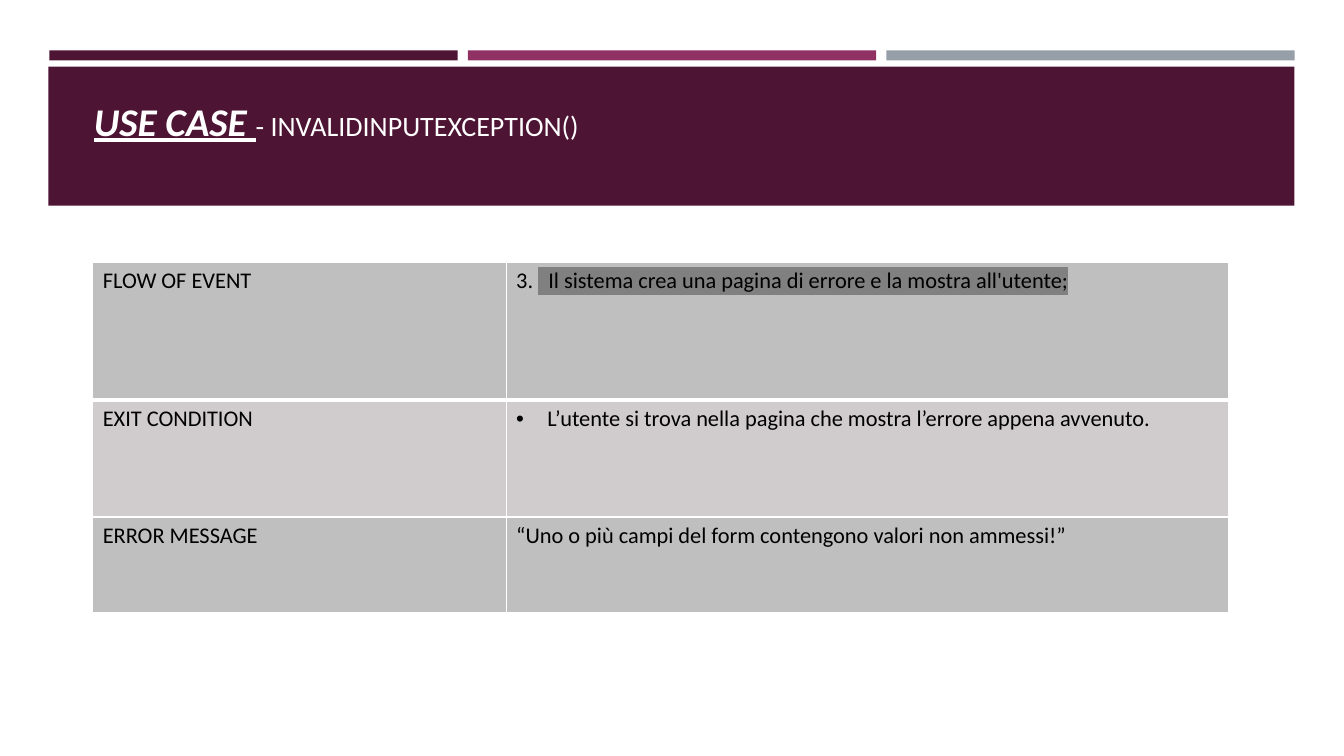
from lxml import etree
from pptx import Presentation
from pptx.dml.color import RGBColor
from pptx.enum.shapes import MSO_SHAPE
from pptx.enum.text import MSO_ANCHOR, MSO_AUTO_SIZE, PP_ALIGN
from pptx.oxml.ns import qn
from pptx.util import Inches, Pt

RECT = MSO_SHAPE.RECTANGLE
TOP = MSO_ANCHOR.TOP
NO_FIT = MSO_AUTO_SIZE.NONE
LEFT = PP_ALIGN.LEFT

COLORS = {
    "plum": "4D1434", "magenta": "903163", "slate": "969FA7",
    "white": "FFFFFF", "black": "000000",
    "dark_row": "BFBFBF", "light_row": "D0CCCE", "highlight": "808080",
}
STRIPES = ["plum", "magenta", "slate"]
TITLE_RUNS = [
    ("USE CASE ", {"size": Pt(28), "bold": True, "italic": True, "underline": True}),
    ("- INVALIDINPUTEXCEPTION()",
     {"size": Pt(20), "bold": False, "italic": False, "underline": False}),
]
COL_WIDTHS = [4.1, 7.17]
ROWS = [
    {"height": 1.37, "fill": "dark_row", "label": "FLOW OF EVENT",
     "runs": [("3. ", None),
              ("  Il sistema crea una pagina di errore e la mostra all'utente;",
               "highlight")]},
    {"height": 1.16, "fill": "light_row", "label": "EXIT CONDITION", "bullet": True,
     "runs": [("L’utente si trova nella pagina che mostra l’errore appena avvenuto.",
               None)]},
    {"height": 0.95, "fill": "dark_row", "label": "ERROR MESSAGE",
     "runs": [("“Uno o più campi del form contengono valori non ammessi!”", None)]},
]


def rgb(name):
    return RGBColor.from_string(COLORS[name])


def add_color(parent, name):
    etree.SubElement(parent, qn("a:srgbClr"), val=COLORS[name])


def add_bar(s, x, y, w, h, color):
    bar = s.shapes.add_shape(RECT, Inches(x), Inches(y), Inches(w), Inches(h))
    bar.shadow.inherit = False
    bar.fill.solid()
    bar.fill.fore_color.rgb = rgb(color)
    bar.line.fill.background()


def add_run(p, text, color, formats):
    r = p.add_run()
    r.text = text
    r.font.name = "Calibri"
    r.font.color.rgb = rgb(color)
    for name, value in formats.items():
        setattr(r.font, name, value)
    return r


def highlight(r, color):
    mark = etree.Element(qn("a:highlight"))
    add_color(mark, color)
    r.font._element.find(qn("a:solidFill")).addnext(mark)


def set_bullet(p):
    pPr = p._p.get_or_add_pPr()
    pPr.set("marL", str(Inches(0.31)))
    pPr.set("indent", str(Inches(-0.31)))
    etree.SubElement(pPr, qn("a:buFont"), typeface="Arial")
    etree.SubElement(pPr, qn("a:buChar"), char="•")


def set_borders(cell, widths):
    tcPr = cell._tc.get_or_add_tcPr()
    for i, (side, width) in enumerate(widths.items()):
        ln = etree.Element(qn(f"a:ln{side}"), w=str(Pt(width)))
        add_color(etree.SubElement(ln, qn("a:solidFill")), "white")
        tcPr.insert(i, ln)


def add_header(s):
    for i, color in enumerate(STRIPES):
        add_bar(s, 0.49 + i * 4.15, 0.5, 4.05, 0.1, color)
    add_bar(s, 0.48, 0.66, 12.36, 1.38, "plum")


def format_title(s):
    title = s.shapes.title
    title.left, title.top = Inches(0.83), Inches(0.64)
    title.width, title.height = Inches(11.12), Inches(1.95)
    s.shapes._spTree.append(title._element)
    tf = title.text_frame
    layout = {"auto_size": NO_FIT, "word_wrap": True,
              "vertical_anchor": TOP, "margin_top": Inches(0.32)}
    for name, value in layout.items():
        setattr(tf, name, value)
    p = tf.paragraphs[0]
    p.alignment = LEFT
    for text, formats in TITLE_RUNS:
        add_run(p, text, "white", formats)


def add_use_case_table(s):
    frame = s.shapes.add_table(
        len(ROWS), len(COL_WIDTHS), Inches(0.92), Inches(2.6),
        Inches(sum(COL_WIDTHS)), Inches(sum(row["height"] for row in ROWS)))
    table = frame.table
    table.first_row = table.horz_banding = False
    for column, width in zip(table.columns, COL_WIDTHS):
        column.width = Inches(width)
    for i, row in enumerate(ROWS):
        table.rows[i].height = Inches(row["height"])
        for j, runs in enumerate([[(row["label"], None)], row["runs"]]):
            cell = table.cell(i, j)
            cell.fill.solid()
            cell.fill.fore_color.rgb = rgb(row["fill"])
            set_borders(cell, {"L": 1, "R": 1, "T": 3 if i == 1 else 1,
                               "B": 3 if i == 0 else 1})
            p = cell.text_frame.paragraphs[0]
            if j and row.get("bullet"):
                set_bullet(p)
            for text, mark in runs:
                r = add_run(p, text, "black", {"size": Pt(16)})
                if mark:
                    highlight(r, mark)


def main():
    prs = Presentation()
    prs.slide_width, prs.slide_height = Inches(13.33), Inches(7.5)
    s = prs.slides.add_slide(prs.slide_layouts[5])
    add_header(s)
    format_title(s)
    add_use_case_table(s)
    prs.save("out.pptx")


if __name__ == "__main__":
    main()
